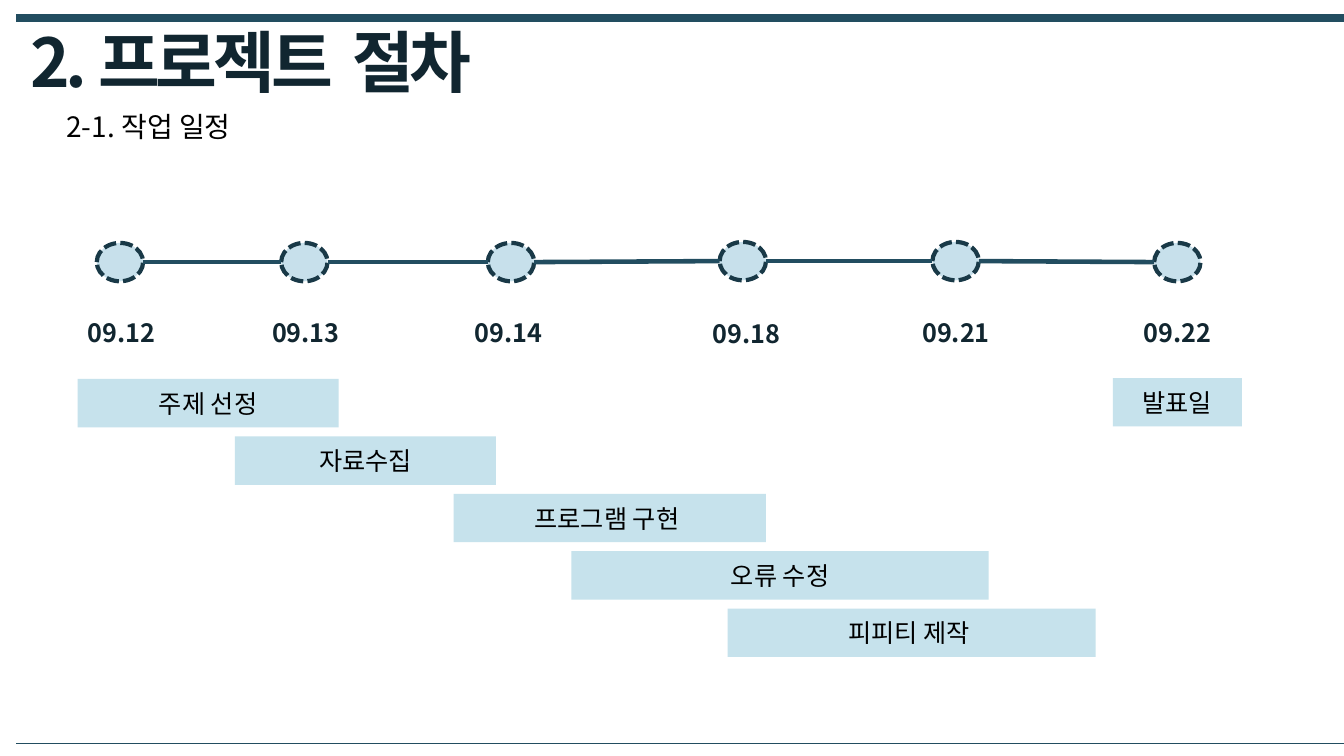
import pptx
import pptx.util
import pptx.dml.color
import pptx.enum.dml
import pptx.enum.shapes
import pptx.enum.text
import pptx.oxml.ns
from lxml import etree

Pt = pptx.util.Pt
RGBColor = pptx.dml.color.RGBColor
MSO_SHAPE = pptx.enum.shapes.MSO_SHAPE
PP_ALIGN = pptx.enum.text.PP_ALIGN
MSO_ANCHOR = pptx.enum.text.MSO_ANCHOR
qn = pptx.oxml.ns.qn

TEAL = RGBColor(0x22, 0x4D, 0x60)
NAVY = RGBColor(0x11, 0x26, 0x30)
OUTLINE = RGBColor(0x19, 0x39, 0x47)
NODE_FILL = RGBColor(0xC7, 0xE0, 0xEB)
BAR_FILL = RGBColor(0xC6, 0xE2, 0xEC)
BLACK = RGBColor(0, 0, 0)

NODE_W, NODE_H = 33.1, 27.4
LABEL_W, LABEL_H = 65.5, 28.8
BAR_TOP, BAR_H, BAR_STEP = 270.7, 34.6, 41

MILESTONES = [
    ("09.12", 85.7, 86.8, 187.2, 223.2),
    ("09.13", 217.4, 218.5, 187.2, 223.2),
    ("09.14", 365, 363.2, 187.2, 223.2),
    ("09.18", 530.6, 533.2, 186.5, 223.9),
    ("09.21", 682.6, 682.9, 186.5, 223.2),
    ("09.22", 841, 841.3, 187.2, 223.2),
]
TASKS = [
    ("주제 선정", 55.4, 186.5),
    ("자료수집", 167.8, 186.5),
    ("프로그램 구현 ", 324, 223.2),
    ("오류 수정", 408.2, 298.1),
    ("피피티 제작 ", 519.8, 262.8),
]


class Deck:
    font = "Noto Sans CJK KR"

    def __init__(self, prs):
        self.s = prs.slides.add_slide(prs.slide_layouts[6])

    def add_runs(self, tf, runs, align=PP_ALIGN.LEFT, spacing=None, **fmt):
        p = tf.paragraphs[0]
        p.alignment = align
        for text, size, color in runs:
            r = p.add_run()
            r.text = text
            values = {"name": self.font, "size": Pt(size), **fmt}
            for name, value in values.items():
                setattr(r.font, name, value)
            r.font.color.rgb = color
            rPr = r._r.get_or_add_rPr()
            etree.SubElement(rPr, qn("a:ea")).set("typeface", self.font)
            if spacing is not None:
                rPr.set("spc", str(spacing * 100))

    def text(self, x, y, w, h, runs, wrap=True, **fmt):
        tf = self.s.shapes.add_textbox(Pt(x), Pt(y), Pt(w), Pt(h)).text_frame
        tf.word_wrap = wrap
        self.add_runs(tf, runs, **fmt)

    def shape(self, kind, x, y, w, h, fill):
        sp = self.s.shapes.add_shape(kind, Pt(x), Pt(y), Pt(w), Pt(h))
        sp.shadow.inherit = False
        sp.fill.solid()
        sp.fill.fore_color.rgb = fill
        return sp

    def node(self, cx, cy):
        sp = self.shape(MSO_SHAPE.OVAL, cx - NODE_W / 2, cy - NODE_H / 2, NODE_W, NODE_H, NODE_FILL)
        sp.line.color.rgb = OUTLINE
        sp.line.width = Pt(3)
        sp.line.dash_style = pptx.enum.dml.MSO_LINE.SQUARE_DOT

    def bar(self, label, x, y, w):
        sp = self.shape(MSO_SHAPE.RECTANGLE, x, y, w, BAR_H, BAR_FILL)
        sp.line.fill.background()
        sp.text_frame.vertical_anchor = MSO_ANCHOR.MIDDLE
        self.add_runs(sp.text_frame, [(label, 18, BLACK)], align=PP_ALIGN.CENTER)

    def line(self, x1, y1, x2, y2, width):
        c = self.s.shapes.add_connector(
            pptx.enum.shapes.MSO_CONNECTOR.STRAIGHT, Pt(x1), Pt(y1), Pt(x2), Pt(y2))
        c.line.color.rgb = TEAL
        c.line.width = Pt(width)
        etree.SubElement(c._element.spPr, qn("a:effectLst"))


def main():
    prs = pptx.Presentation()
    prs.slide_width, prs.slide_height = Pt(960), Pt(540)
    deck = Deck(prs)

    deck.line(11.5, 12.7, 960, 12.7, 6)
    deck.line(11.5, 530.9, 960, 530.9, 0.25)
    title = [("2. 프로젝트", 48, NAVY), (" ", 60, NAVY), ("절차", 48, NAVY)]
    deck.text(14.4, -1.4, 385.2, 79.9, title, bold=True, spacing=-3)
    deck.text(40.3, 74.9, 221, 31.7, [("2-1. 작업 일정", 20, BLACK)])

    for date, cx, label_cx, cy, label_y in MILESTONES:
        deck.node(cx, cy)
        deck.text(label_cx - LABEL_W / 2, label_y, LABEL_W, LABEL_H, [(date, 18, NAVY)],
                  wrap=False, align=PP_ALIGN.CENTER, bold=True)
    for (_, x1, _, y1, _), (_, x2, _, y2, _) in zip(MILESTONES, MILESTONES[1:]):
        deck.line(x1 + NODE_W / 2, y1, x2 - NODE_W / 2, y2, 3.25)

    for i, (label, x, w) in enumerate(TASKS):
        deck.bar(label, x, BAR_TOP + i * BAR_STEP, w)
    deck.bar("발표일", 794.9, 270, 92.2)

    prs.save("out.pptx")


if __name__ == "__main__":
    main()
